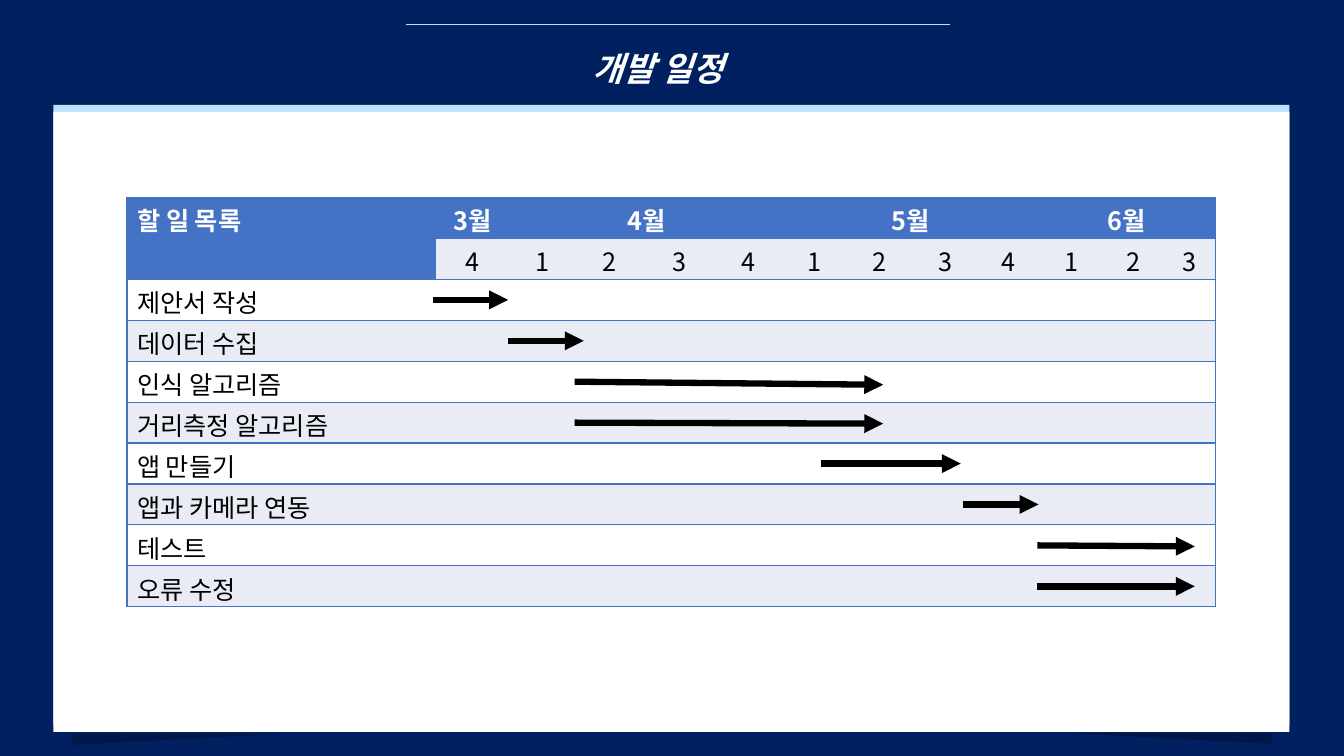
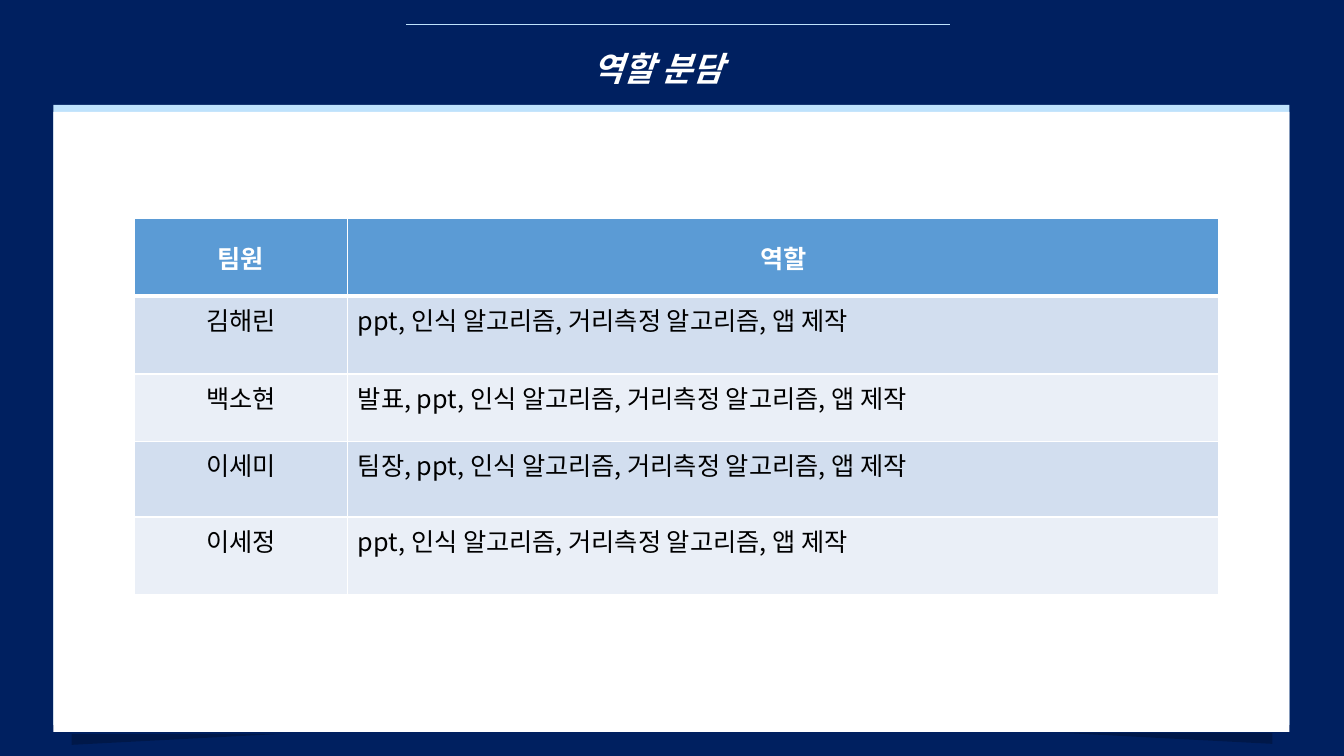
from lxml.etree import SubElement
from pptx import Presentation
from pptx.dml.color import RGBColor
from pptx.enum.shapes import MSO_CONNECTOR, MSO_SHAPE
from pptx.enum.text import MSO_ANCHOR, MSO_AUTO_SIZE, PP_ALIGN
from pptx.oxml.ns import qn
from pptx.util import Inches, Pt

FONT = "Noto Sans CJK KR"
COLORS = {
    "navy": "002060", "white": "FFFFFF", "black": "000000", "sky": "BEE2FC",
    "schedule_head": "4472C4", "schedule_band": "E9EBF5",
    "role_head": "5B9BD5", "role_dark": "D2DEEF", "role_light": "EAEFF7",
}
NO_GRID_STYLE = "{2D5ABB26-0587-4C30-8999-92F81FD0307C}"

# Schedule: months with their weeks, then tasks as (name, start x, end x, drop)
SCHEDULE_TITLE = "개발 일정"
TASK_HEADING = "할 일 목록"
MONTHS = [("3월", "4"), ("4월", "1234"), ("5월", "1234"), ("6월", "123")]
TASKS = [
    ("제안서 작성", 4.29, 5.04, 0),
    ("데이터 수집", 5.04, 5.79, 0),
    ("인식 알고리즘", 5.7, 8.76, 0.03),
    ("거리측정 알고리즘", 5.7, 8.76, 0.01),
    ("앱 만들기", 8.14, 9.53, 0),
    ("앱과 카메라 연동", 9.55, 10.3, 0),
    ("테스트", 10.29, 11.85, 0.01),
    ("오류 수정", 10.29, 11.85, 0),
]
SCHEDULE_LEFT, SCHEDULE_TOP, SCHEDULE_HEIGHT = 1.26, 1.96, 4.06
SCHEDULE_COLS = [3.06, 0.74, 0.64, 0.7, 0.69, 0.67, 0.63,
                 0.66, 0.66, 0.59, 0.66, 0.57, 0.53]

# Roles: what everyone does, and what some do besides
ROLES_TITLE = "역할 분담"
ROLE_HEADINGS = ("팀원", "역할")
SHARED_WORK = "ppt, 인식 알고리즘, 거리측정 알고리즘, 앱 제작"
MEMBERS = [("김해린", ""), ("백소현", "발표, "), ("이세미", "팀장, "), ("이세정", "")]
ROLES_LEFT, ROLES_TOP = 1.33, 2.17
ROLE_COLS = [2.12, 8.64]
ROLE_ROWS = [0.77, 0.77, 0.67, 0.75, 0.77]


def rgb(name):
    return RGBColor.from_string(COLORS[name])


def box(left, top, width, height):
    return [Inches(v) for v in (left, top, width, height)]


def write(frame, text, size, color, bold=False, italic=False, align=PP_ALIGN.LEFT):
    paragraph = frame.paragraphs[0]
    paragraph.alignment = align
    run = paragraph.add_run()
    run.text = text
    font = run.font
    font.name, font.size, font.bold, font.italic = FONT, Pt(size), bold, italic
    font.color.rgb = rgb(color)
    SubElement(font._element, qn("a:ea"), typeface=FONT)


def add_solid(slide, preset, place, color):
    solid = slide.shapes.add_shape(preset, *box(*place))
    solid.shadow.inherit = False
    solid.fill.solid()
    solid.fill.fore_color.rgb = rgb(color)
    solid.line.fill.background()
    return solid


def add_line(slide, start, end, color, width, arrow=False):
    line = slide.shapes.add_connector(
        MSO_CONNECTOR.STRAIGHT, *[Inches(v) for v in (*start, *end)])
    line.line.color.rgb = rgb(color)
    line.line.width = Pt(width)
    SubElement(line._element.spPr, qn("a:effectLst"))
    if arrow:
        SubElement(line.line._get_or_add_ln(), qn("a:tailEnd"), type="triangle")


def add_page(deck, title):
    slide = deck.slides.add_slide(deck.slide_layouts[6])
    slide.background.fill.solid()
    slide.background.fill.fore_color.rgb = rgb("navy")

    # White sheet with a hard sky-blue edge above it
    sheet = add_solid(slide, MSO_SHAPE.RECTANGLE, (0.53, 1.11, 12.26, 6.15), "white")
    effects = sheet._element.spPr.find(qn("a:effectLst"))
    edge = SubElement(effects, qn("a:outerShdw"), blurRad="0", dist=str(Pt(5)),
                      dir="16200000", algn="b", rotWithShape="0")
    SubElement(edge, qn("a:srgbClr"), val=COLORS["sky"])

    # Lifted corners under the sheet
    for left, top, flips in ((0.71, 7.28, ["flipV"]), (10.52, 7.27, ["flipH", "flipV"])):
        corner = add_solid(slide, MSO_SHAPE.RIGHT_TRIANGLE, (left, top, 2.1, 0.11), "black")
        for flip in flips:
            corner._element.spPr.find(qn("a:xfrm")).set(flip, "1")
        tint = corner._element.spPr.find(qn("a:solidFill"))[0]
        SubElement(tint, qn("a:alpha"), val="23000")

    # Heading
    add_line(slide, (4.03, 0.24), (9.42, 0.24), "sky", 0.5)
    heading = slide.shapes.add_textbox(*box(3.19, 0.43, 6.67, 0.5)).text_frame
    heading.word_wrap = True
    heading.auto_size = MSO_AUTO_SIZE.SHAPE_TO_FIT_TEXT
    write(heading, title, 24, "white", True, True, PP_ALIGN.CENTER)
    return slide


def add_grid(slide, left, top, cols, rows):
    table = slide.shapes.add_table(
        len(rows), len(cols), *box(left, top, sum(cols), sum(rows))).table
    table.first_row = table.horz_banding = False
    table._tbl.tblPr.find(qn("a:tableStyleId")).text = NO_GRID_STYLE
    for column, width in zip(table.columns, cols):
        column.width = Inches(width)
    for row, height in zip(table.rows, rows):
        row.height = Inches(height)
    return table


def paint(cell, fill, border, widths):
    """Widths maps sides L, R, T, B to points; borders go before the fill."""
    for side in "LRTB":
        if side in widths:
            edge = SubElement(cell._tc.get_or_add_tcPr(), qn("a:ln" + side),
                              w=str(Pt(widths[side])))
            SubElement(SubElement(edge, qn("a:solidFill")), qn("a:srgbClr"),
                       val=COLORS[border])
    cell.fill.solid()
    cell.fill.fore_color.rgb = rgb(fill)


def build_schedule(deck):
    slide = add_page(deck, SCHEDULE_TITLE)
    row_count = len(TASKS) + 2
    row_height = SCHEDULE_HEIGHT / row_count
    table = add_grid(slide, SCHEDULE_LEFT, SCHEDULE_TOP, SCHEDULE_COLS,
                     [row_height] * row_count)
    last = len(SCHEDULE_COLS) - 1
    for r in range(row_count):
        for c in range(last + 1):
            cell = table.cell(r, c)
            cell.margin_top, cell.margin_bottom = Inches(0.04), 0
            widths = {"T": 1, "B": 1}
            if c in (0, last):
                widths["L" if c == 0 else "R"] = 1
            head = r == 0 or (r == 1 and c == 0)
            fill = "schedule_head" if head else "schedule_band" if r % 2 else "white"
            paint(cell, fill, "schedule_head", widths)

    # Months and weeks
    table.cell(0, 0).merge(table.cell(1, 0))
    write(table.cell(0, 0).text_frame, TASK_HEADING, 18, "white", True)
    col = 1
    for month, weeks in MONTHS:
        if len(weeks) > 1:
            table.cell(0, col).merge(table.cell(0, col + len(weeks) - 1))
        write(table.cell(0, col).text_frame, month, 18, "white", True,
              align=PP_ALIGN.CENTER)
        for week in weeks:
            write(table.cell(1, col).text_frame, week, 18, "black",
                  align=PP_ALIGN.CENTER)
            col += 1

    # Tasks, each with an arrow along the middle of its row
    for r, (task, start, end, drop) in enumerate(TASKS, 2):
        write(table.cell(r, 0).text_frame, task, 18, "black")
        middle = SCHEDULE_TOP + (r + 0.5) * row_height
        add_line(slide, (start, middle), (end, middle + drop), "black", 4.5, arrow=True)


def build_roles(deck):
    slide = add_page(deck, ROLES_TITLE)
    table = add_grid(slide, ROLES_LEFT, ROLES_TOP, ROLE_COLS, ROLE_ROWS)
    rows = [ROLE_HEADINGS] + [(name, extra + SHARED_WORK) for name, extra in MEMBERS]
    for r, texts in enumerate(rows):
        head = r == 0
        fill = "role_head" if head else "role_dark" if r % 2 else "role_light"
        widths = {"L": 1, "R": 1, "T": 3 if r == 1 else 1, "B": 3 if head else 1}
        for c, text in enumerate(texts):
            cell = table.cell(r, c)
            paint(cell, fill, "white", widths)
            if head:
                cell.vertical_anchor = MSO_ANCHOR.MIDDLE
            write(cell.text_frame, text, 18, "white" if head else "black", head,
                  align=PP_ALIGN.CENTER if head or c == 0 else PP_ALIGN.LEFT)


def main():
    deck = Presentation()
    deck.slide_width, deck.slide_height = Inches(13.33), Inches(7.5)
    build_schedule(deck)
    build_roles(deck)
    deck.save("out.pptx")


if __name__ == "__main__":
    main()
